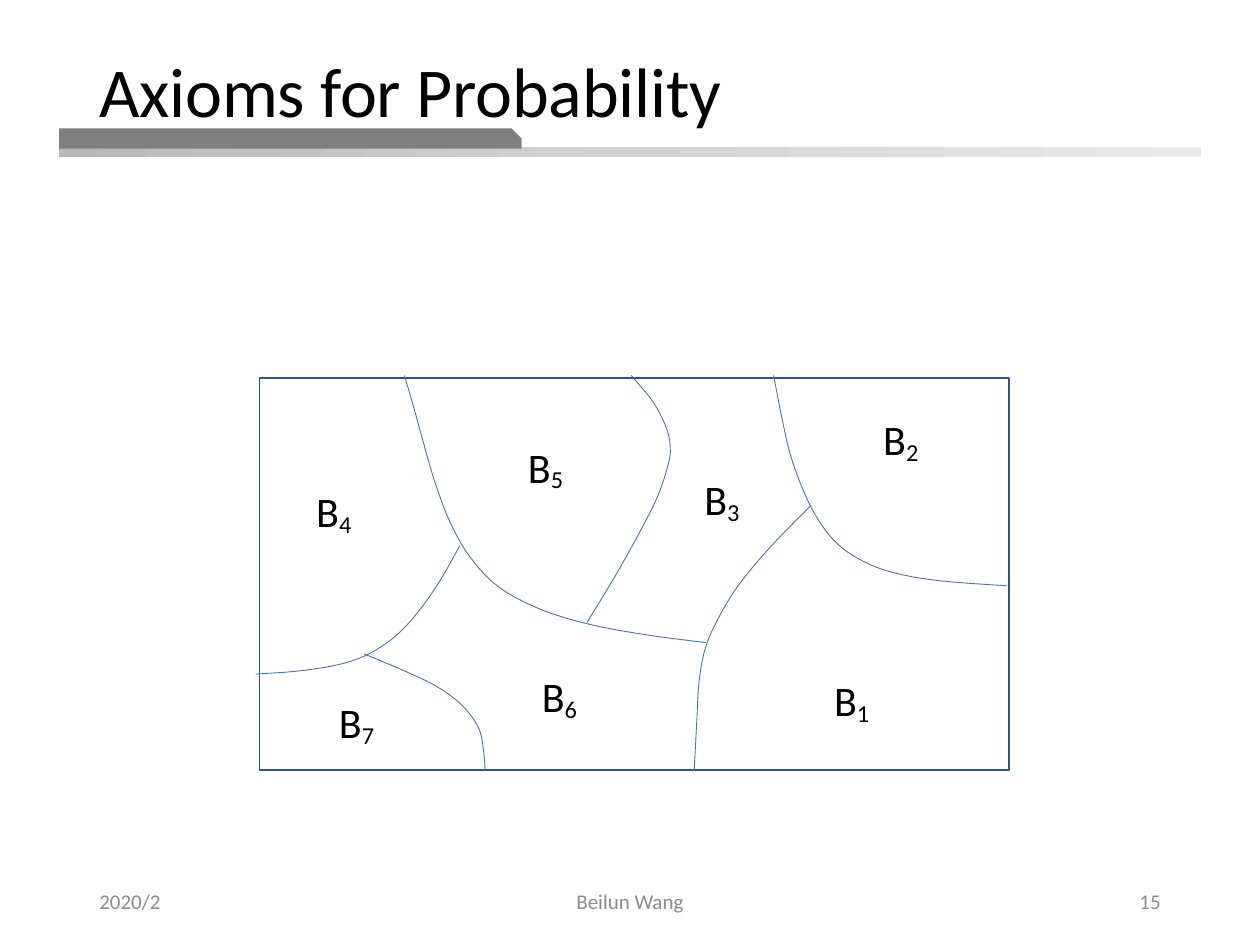
from copy import deepcopy
from itertools import pairwise

from pptx import Presentation
from pptx import util as u
from pptx.dml.color import RGBColor
from pptx.enum import shapes, text

PX = 9144
FONT = "Calibri"
HUES = {"ink": "000000", "foot": "8C8C8C", "tab": "808080", "dark": "B8B8B8",
        "mid": "D3D3D3", "light": "E9E9E9", "frame": "2F528F", "curve": "4472C4"}
CURVES = [
    [(408, -2), (414, 29), (421, 60), (431, 88), (443, 112), (459, 132),
     (480, 146), (505, 155), (540, 161), (593, 165)],
    [(438, 101), (416, 123), (395, 146), (377, 169), (363, 193), (354, 214),
     (349, 240), (347, 274), (345, 312)],
    [(354, 210), (308, 204), (264, 196), (224, 184), (190, 166), (167, 142),
     (151, 114), (139, 82), (130, 51), (122, 22), (115, -2)],
    [(159, 133), (140, 166), (118, 195), (97, 213), (72, 225), (36, 232), (-3, 235)],
    [(260, 194), (283, 156), (303, 120), (316, 94), (324, 70), (326, 56),
     (323, 40), (313, 20), (301, 5), (295, -2)],
    [(83, 219), (114, 232), (141, 245), (161, 260), (174, 278), (178, 297), (179, 311)],
]
LABELS = [(453, 234), (492, 27), (350, 75), (42, 84), (210, 49), (221, 231), (60, 252)]


def rgb(name):
    """Return the named colour."""
    return RGBColor.from_string(HUES[name])


def emu(*vals):
    """Turn px lengths into EMU."""
    return [round(v * PX) for v in vals]


def add_text(slide, box, anchor=text.MSO_ANCHOR.TOP, align=text.PP_ALIGN.LEFT):
    """Add an empty text box and return its frame."""
    frame = slide.shapes.add_textbox(*emu(*box)).text_frame
    frame.word_wrap = True
    frame.vertical_anchor = anchor
    frame.paragraphs[0].alignment = align
    return frame


def add_run(frame, words, size, hue, gap=0):
    """Append a run to the first paragraph, with letter spacing in 1/100 pt."""
    run = frame.paragraphs[0].add_run()
    run.text = words
    run.font.name, run.font.size = FONT, u.Pt(size)
    run.font.color.rgb = rgb(hue)
    if gap:
        run.font._element.set("spc", str(gap))
    return run


def add_block(slide, kind, box):
    """Add a preset shape with no shadow and no line."""
    shape = slide.shapes.add_shape(kind, *emu(*box))
    shape.shadow.inherit = False
    shape.line.fill.background()
    return shape


def set_line(shape, hue, width):
    """Give a shape an outline only."""
    shape.shadow.inherit = False
    shape.fill.background()
    shape.line.color.rgb = rgb(hue)
    shape.line.width = u.Pt(width)


def smooth(knots, steps=5):
    """Sample a Catmull-Rom curve through the knots."""
    ends = [knots[0], *knots, knots[-1]]
    out = [knots[0]]
    for i, (b, c) in enumerate(pairwise(knots)):
        a, d = ends[i], ends[i + 3]
        for t in (k / steps for k in range(1, steps + 1)):
            out.append(tuple(
                q + t / 2 * (r - p + t * (2 * p - 5 * q + 4 * r - s
                                          + t * (3 * q - p - 3 * r + s)))
                for p, q, r, s in zip(a, b, c, d)))
    return out


def header(slide, box):
    """Draw the title over its tab and fading bar."""
    x, y, w, h = box
    bar = add_block(slide, shapes.MSO_SHAPE.RECTANGLE, (x, y + 77, w, 8))
    bar.fill.gradient()
    bar.fill.gradient_angle = 0
    first = bar.fill.gradient_stops[0]._gs
    first.addnext(deepcopy(first))
    stops = zip(bar.fill.gradient_stops, (0, 0.5, 1), ("dark", "mid", "light"))
    for stop, pos, hue in stops:
        stop.position = pos
        stop.color.rgb = rgb(hue)
    tab = add_block(slide, shapes.MSO_SHAPE.SNIP_1_RECTANGLE, (x, y + 62, 367, 16))
    tab.adjustments[0] = 0.5
    tab.fill.solid()
    tab.fill.fore_color.rgb = rgb("tab")
    frame = add_text(slide, (x + 22, y, 838, 64))
    frame.paragraphs[0].line_spacing = 0.9
    for words, gap in (("Axioms ", -10), ("for ", -20), ("Probability", -10)):
        add_run(frame, words, 40, "ink", gap)


def label(slide, box, sub):
    """Write B with its subscript."""
    frame = add_text(slide, box)
    frame.margin_left, frame.margin_top, frame.margin_right, frame.margin_bottom = emu(3, 1, 0, 0)
    add_run(frame, "B", 24, "ink", -10)
    low = add_run(frame, str(sub), 24, "ink", -10)
    low.font._element.set("baseline", "-14000")


def regions(slide, box):
    """Draw the sample space split into labelled regions."""
    x, y, w, h = box
    frame = slide.shapes.add_shape(shapes.MSO_SHAPE.RECTANGLE, *emu(*box))
    set_line(frame, "frame", 1)
    for knots in CURVES:
        start, *rest = [emu(x + a, y + b) for a, b in smooth(knots)]
        pen = slide.shapes.build_freeform(*start)
        pen.add_line_segments(rest, close=False)
        set_line(pen.convert_to_shape(), "curve", 0.5)
    for sub, (a, b) in enumerate(LABELS, 1):
        label(slide, (x + a, y + b, 38, 42), sub)


def footer(slide, box):
    """Write date, author and page number."""
    x, y, w, h = box
    side = text.PP_ALIGN
    parts = [("2020/2", 0, 225, side.LEFT),
             ("Beilun Wang", (w - 338) // 2, 338, side.CENTER),
             ("15", w - 225, 225, side.RIGHT)]
    for words, left, wide, align in parts:
        frame = add_text(slide, (x + left, y, wide, h), text.MSO_ANCHOR.MIDDLE, align)
        add_run(frame, words, 12, "foot")


def main():
    """Build and save the slide."""
    deck = Presentation()
    deck.slide_width, deck.slide_height = emu(1000, 750)
    slide = deck.slides.add_slide(deck.slide_layouts[6])
    header(slide, (47, 40, 906, 85))
    footer(slide, (69, 695, 862, 40))
    regions(slide, (206, 300, 595, 311))
    deck.save("out.pptx")


if __name__ == "__main__":
    main()
